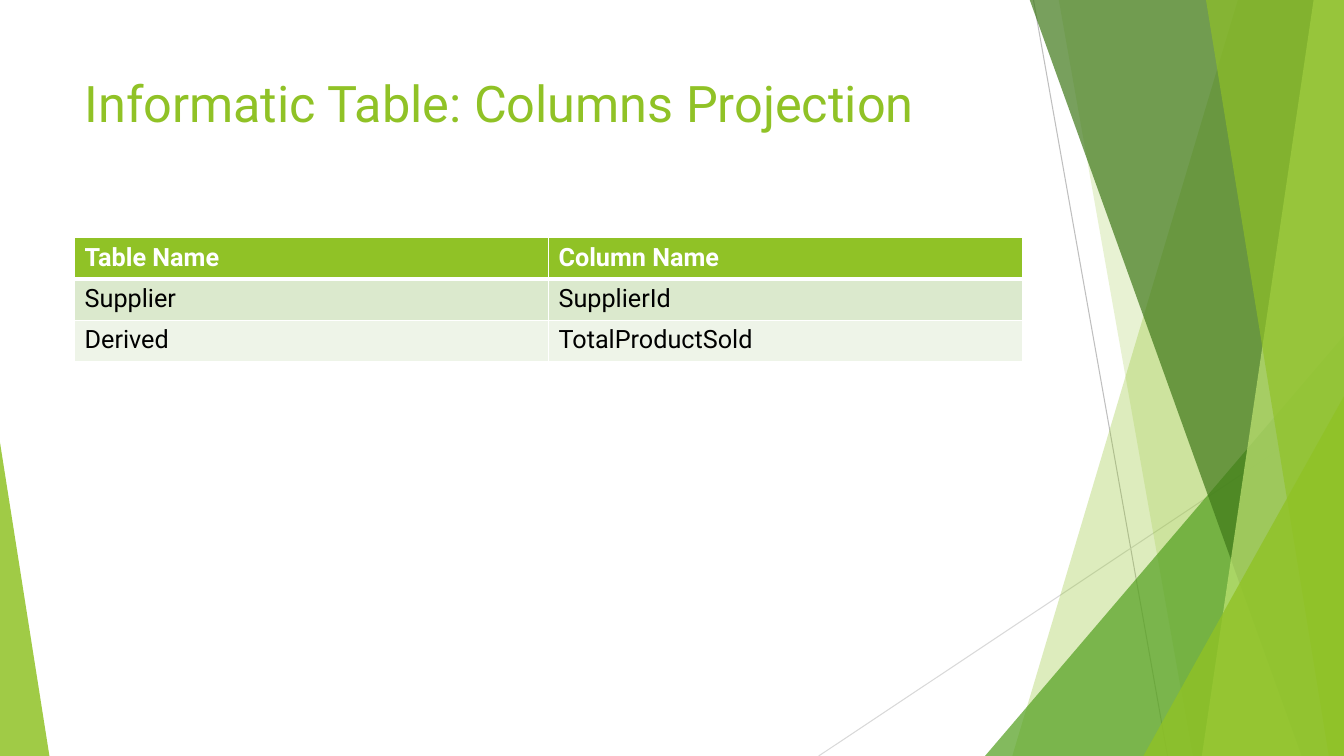
from lxml import etree
from pptx import Presentation
from pptx.dml.color import RGBColor
from pptx.enum.shapes import MSO_CONNECTOR, MSO_SHAPE
from pptx.enum.text import MSO_ANCHOR
from pptx.oxml.ns import qn
from pptx.util import Inches, Pt

STRAIGHT = MSO_CONNECTOR.STRAIGHT
TRIANGLE = MSO_SHAPE.ISOSCELES_TRIANGLE
TOP = MSO_ANCHOR.TOP

FONT = "Roboto"
COLORS = {
    "lime": "90C226", "green": "54A021", "forest": "3F7819", "pale": "C0E474",
    "gray": "BFBFBF", "light_gray": "D9D9D9", "white": "FFFFFF", "black": "000000",
    "band_dark": "DBE9CD", "band_light": "EEF4E8",
}
WIDTH, HEIGHT = 13.33, 7.5
BAND_TOP = -0.01

TITLE = "Informatic Table: Columns Projection"
ROWS = [
    ("Table Name", "Column Name"),
    ("Supplier", "SupplierId"),
    ("Derived", "TotalProductSold"),
]
ROW_FILLS = ["lime", "band_dark", "band_light"]
LEFT, CONTENT_WIDTH = 0.74, 9.4
ROW_HEIGHT = 0.41

LINES = [
    (10.25, 0, 11.58, HEIGHT, "gray"),
    (WIDTH, 4.03, 8.12, HEIGHT, "light_gray"),
]
DECOR = [
    ("band", (12.28, 10.04), "lime", 30),
    ("band", (10.5, 11.83), "lime", 20),
    ("triangle", (9.77, 3.33, 3.56, 1), "green", 72),
    ("band", (10.21, 12.91), "forest", 70),
    ("band", (13.03, 11.92), "pale", 70),
    ("band", (11.96, 13.18), "lime", 65),
    ("triangle", (11.34, 3.93, 1.99, 1), "lime", 80),
    ("triangle", (0, 4.39, 0.49, 0), "lime", 85),
]


def rgb(name):
    return RGBColor.from_string(COLORS[name])


def add_run(p, text, size, color, bold=False):
    r = p.add_run()
    r.text = text
    r.font.name = FONT
    r.font.size = Pt(size)
    r.font.bold = bold
    r.font.color.rgb = rgb(color)


def add_line(s, x1, y1, x2, y2, color):
    line = s.shapes.add_connector(STRAIGHT, Inches(x1), Inches(y1), Inches(x2), Inches(y2))
    line.line.color.rgb = rgb(color)
    line.line.width = Pt(0.75)
    etree.SubElement(line._element.spPr, qn("a:effectLst"))


def add_band(s, top_x, bottom_x):
    corners = [(WIDTH, BAND_TOP), (WIDTH, HEIGHT), (bottom_x, HEIGHT)]
    builder = s.shapes.build_freeform(Inches(top_x), Inches(BAND_TOP))
    builder.add_line_segments([(Inches(x), Inches(y)) for x, y in corners], close=True)
    return builder.convert_to_shape()


def add_triangle(s, x, y, width, apex):
    sp = s.shapes.add_shape(TRIANGLE, Inches(x), Inches(y), Inches(width), Inches(HEIGHT - y))
    sp.adjustments[0] = apex
    return sp


def paint(sp, color, opacity):
    sp.shadow.inherit = False
    sp.line.fill.background()
    sp.fill.solid()
    sp.fill.fore_color.rgb = rgb(color)
    srgb = sp._element.spPr.find(qn("a:solidFill")).find(qn("a:srgbClr"))
    etree.SubElement(srgb, qn("a:alpha"), val=str(opacity * 1000))


def add_borders(cell, bottom):
    tcPr = cell._tc.get_or_add_tcPr()
    widths = {"a:lnL": 1, "a:lnR": 1, "a:lnT": 1, "a:lnB": bottom}
    for i, (tag, width) in enumerate(widths.items()):
        ln = etree.Element(qn(tag), w=str(Pt(width)))
        fill = etree.SubElement(ln, qn("a:solidFill"))
        etree.SubElement(fill, qn("a:srgbClr"), val=COLORS["white"])
        tcPr.insert(i, ln)


def add_title(s):
    box = s.shapes.add_textbox(Inches(LEFT), Inches(0.67), Inches(CONTENT_WIDTH), Inches(1.44))
    tf = box.text_frame
    tf.word_wrap = True
    tf.vertical_anchor = TOP
    add_run(tf.paragraphs[0], TITLE, 36, "lime")


def add_columns_table(s):
    frame = s.shapes.add_table(len(ROWS), len(ROWS[0]), Inches(LEFT), Inches(2.36),
                               Inches(CONTENT_WIDTH), Inches(ROW_HEIGHT * len(ROWS)))
    table = frame.table
    for i, (texts, fill) in enumerate(zip(ROWS, ROW_FILLS)):
        header = i == 0
        table.rows[i].height = Inches(ROW_HEIGHT)
        for j, text in enumerate(texts):
            cell = table.cell(i, j)
            cell.fill.solid()
            cell.fill.fore_color.rgb = rgb(fill)
            add_borders(cell, 3 if header else 1)
            add_run(cell.text_frame.paragraphs[0], text, 18,
                    "white" if header else "black", header)


def main():
    prs = Presentation()
    prs.slide_width, prs.slide_height = Inches(WIDTH), Inches(HEIGHT)
    s = prs.slides.add_slide(prs.slide_layouts[6])
    for line in LINES:
        add_line(s, *line)
    makers = {"band": add_band, "triangle": add_triangle}
    for kind, geometry, color, opacity in DECOR:
        paint(makers[kind](s, *geometry), color, opacity)
    add_title(s)
    add_columns_table(s)
    prs.save("out.pptx")


if __name__ == "__main__":
    main()
